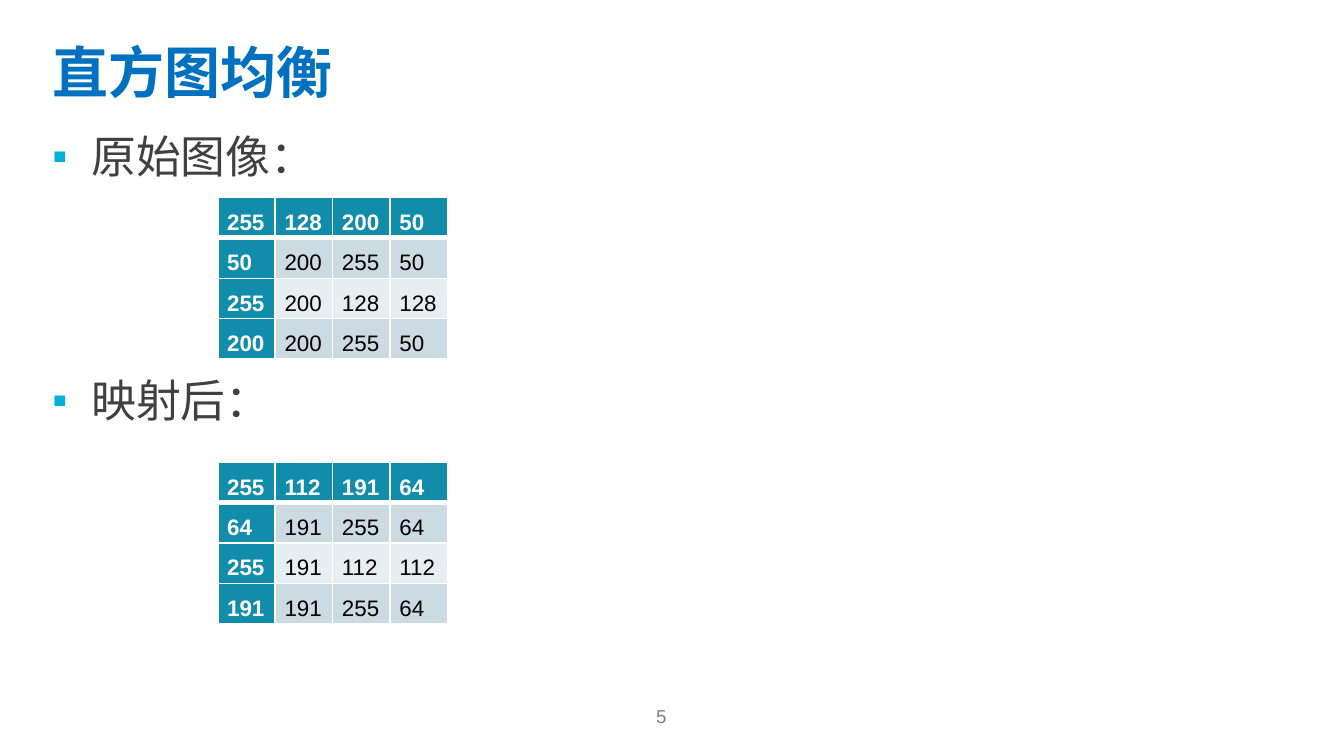
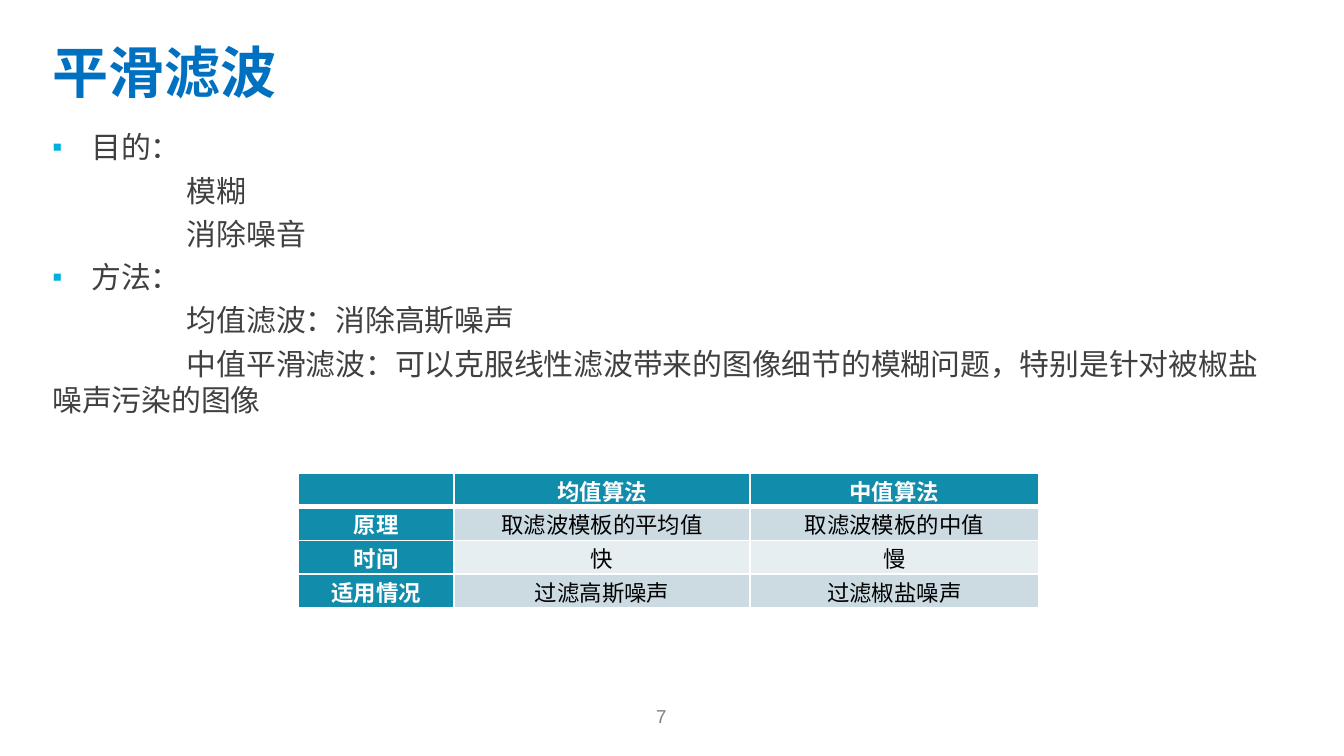
from dataclasses import dataclass

from lxml.etree import SubElement
from pptx import Presentation
from pptx.dml.color import RGBColor
from pptx.enum.text import MSO_ANCHOR, PP_ALIGN
from pptx.oxml import parse_xml
from pptx.oxml.ns import nsdecls, qn
from pptx.util import Inches, Pt


# Shared colours, fonts and type sizes
@dataclass(frozen=True)
class Theme:
    title: str = "0070C0"
    body: str = "404040"
    bullet: str = "00B1DB"
    footer: str = "808080"
    header_fill: str = "128CAB"
    band_fills: tuple = ("CCDAE2", "E7EEF1")
    white: str = "FFFFFF"
    black: str = "000000"
    latin: str = "Arial"
    east_asian: str = "Noto Sans CJK SC"
    title_size: int = 30
    table_size: int = 12
    footer_size: int = 10


def set_values(target, values):
    for name, value in values.items():
        setattr(target, name, value)


class SlideBuilder:
    def __init__(self, presentation, theme):
        self.presentation = presentation
        self.theme = theme
        self.slide = None

    def start(self, title, number):
        """Add a slide with the shared title and page number."""
        self.slide = self.presentation.slides.add_slide(self.presentation.slide_layouts[6])
        theme = self.theme
        frame = self.text_frame(4.67, 5.21, 0.6, 0.24)
        set_values(frame, {"vertical_anchor": MSO_ANCHOR.MIDDLE, "margin_right": Inches(0.1)})
        frame.paragraphs[0].alignment = PP_ALIGN.CENTER
        self.run(frame.paragraphs[0], str(number), theme.footer_size, theme.footer)
        paragraph = self.text_frame(0.39, 0.28, 9.16, 0.47).paragraphs[0]
        self.run(paragraph, title, theme.title_size, theme.title, bold=True)

    def text_frame(self, left, top, width, height):
        box = self.slide.shapes.add_textbox(
            Inches(left), Inches(top), Inches(width), Inches(height))
        frame = box.text_frame
        set_values(frame, {"word_wrap": True, "margin_left": 0, "margin_top": 0,
                           "margin_right": 0, "margin_bottom": 0})
        return frame

    def run(self, paragraph, text, size, color, bold=False, latin=None):
        run = paragraph.add_run()
        run.text = text
        set_values(run.font, {"size": Pt(size), "bold": bold,
                              "name": latin or self.theme.latin})
        run.font.color.rgb = RGBColor.from_string(color)
        SubElement(run.font._element, qn("a:ea"), typeface=self.theme.east_asian)

    def body(self, items, size, latin=None):
        """Each item is (text, is_bullet, space before in points)."""
        frame = self.text_frame(0.39, 0.96, 9.16, 4.03)
        for index, (text, is_bullet, space_before) in enumerate(items):
            paragraph = frame.add_paragraph() if index else frame.paragraphs[0]
            paragraph.space_before = Pt(space_before)
            self.indent(paragraph, is_bullet)
            self.run(paragraph, text, size, self.theme.body, latin=latin)

    def indent(self, paragraph, is_bullet):
        properties = paragraph._p.get_or_add_pPr()
        left, first_line = (0.29, -0.29) if is_bullet else (0, 1)
        properties.set("marL", str(Inches(left)))
        properties.set("indent", str(Inches(first_line)))
        if is_bullet:
            color = SubElement(properties, qn("a:buClr"))
            SubElement(color, qn("a:srgbClr"), val=self.theme.bullet)
            SubElement(properties, qn("a:buSzPct"), val="95000")
            SubElement(properties, qn("a:buFont"), typeface=self.theme.latin)
            SubElement(properties, qn("a:buChar"), char="▪")

    def table(self, rows, left, top, column_widths, height, paragraph_format):
        theme = self.theme
        frame = self.slide.shapes.add_table(
            len(rows), len(column_widths), Inches(left), Inches(top),
            Inches(sum(column_widths)), Inches(height))
        table = frame.table
        for column, width in zip(table.columns, column_widths):
            column.width = Inches(width)
        for row_index, row in enumerate(rows):
            for column_index, text in enumerate(row):
                is_header = row_index == 0 or column_index == 0
                cell = table.cell(row_index, column_index)
                set_values(cell, {"margin_left": Inches(0.07), "margin_right": Inches(0.07),
                                  "margin_top": 0, "margin_bottom": 0})
                fill = theme.header_fill if is_header else theme.band_fills[(row_index - 1) % 2]
                cell.fill.solid()
                cell.fill.fore_color.rgb = RGBColor.from_string(fill)
                self.borders(cell, row_index)
                paragraph = cell.text_frame.paragraphs[0]
                set_values(paragraph, paragraph_format)
                if text:
                    self.run(paragraph, text, theme.table_size,
                             theme.white if is_header else theme.black, bold=is_header)
                SubElement(paragraph._p, qn("a:endParaRPr"), sz=str(theme.table_size * 100))

    def borders(self, cell, row_index):
        """White rules, with a thick one below the header row."""
        widths = {"lnL": 1, "lnR": 1,
                  "lnT": 3 if row_index == 1 else 1,
                  "lnB": 3 if row_index == 0 else 1}
        properties = cell._tc.get_or_add_tcPr()
        for position, (tag, width) in enumerate(widths.items()):
            properties.insert(position, parse_xml(
                f'<a:{tag} {nsdecls("a")} w="{Pt(width)}"><a:solidFill>'
                f'<a:srgbClr val="{self.theme.white}"/></a:solidFill></a:{tag}>'))


# Slide contents
ORIGINAL_PIXELS = [
    (255, 128, 200, 50),
    (50, 200, 255, 50),
    (255, 200, 128, 128),
    (200, 200, 255, 50),
]
EQUALIZED_LEVELS = {255: 255, 128: 112, 200: 191, 50: 64}
FILTER_COMPARISON = [
    ("", "均值算法", "中值算法"),
    ("原理", "取滤波模板的平均值", "取滤波模板的中值"),
    ("时间", "快", "慢"),
    ("适用情况", "过滤高斯噪声", "过滤椒盐噪声"),
]
FILTER_NOTES = [
    ("目的：", True, 4),
    ("模糊", False, 4),
    ("消除噪音", False, 4),
    ("方法：", True, 4),
    ("均值滤波：消除高斯噪声", False, 4),
    ("中值平滑滤波：可以克服线性滤波带来的图像细节的模糊问题，"
     "特别是针对被椒盐噪声污染的图像", False, 4),
]


def main():
    presentation = Presentation()
    slide_width = Inches(10)
    set_values(presentation, {"slide_width": slide_width,
                              "slide_height": slide_width * 9 // 16})
    theme = Theme()
    builder = SlideBuilder(presentation, theme)

    # Histogram equalization
    builder.start("直方图均衡", 5)
    builder.body([("原始图像：", True, 4), ("映射后：", True, 102)], 24)
    pixel_format = {"line_spacing": 1.5, "space_after": Pt(4)}
    equalized_pixels = [[EQUALIZED_LEVELS[level] for level in row] for row in ORIGINAL_PIXELS]
    for top, pixels in ((1.47, ORIGINAL_PIXELS), (3.44, equalized_pixels)):
        rows = [[str(level) for level in row] for row in pixels]
        builder.table(rows, 1.62, top, [1.71 / 4] * 4, 1.05, pixel_format)

    # Smoothing filters
    builder.start("平滑滤波", 7)
    builder.body(FILTER_NOTES, 16, latin=theme.east_asian)
    builder.table(FILTER_COMPARISON, 2.22, 3.52, [1.16, 2.2, 2.15], 0.91,
                  {"alignment": PP_ALIGN.CENTER, "line_spacing": Pt(18)})

    presentation.save("out.pptx")


if __name__ == "__main__":
    main()
